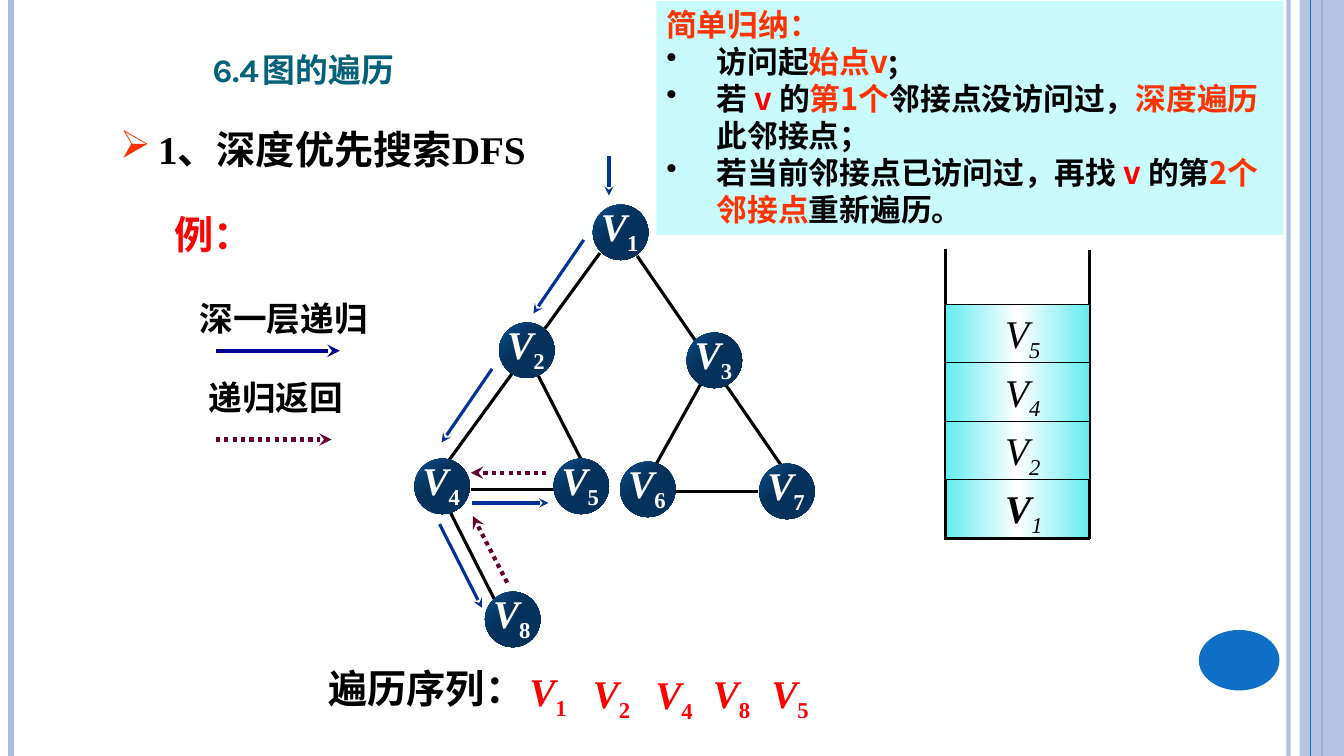
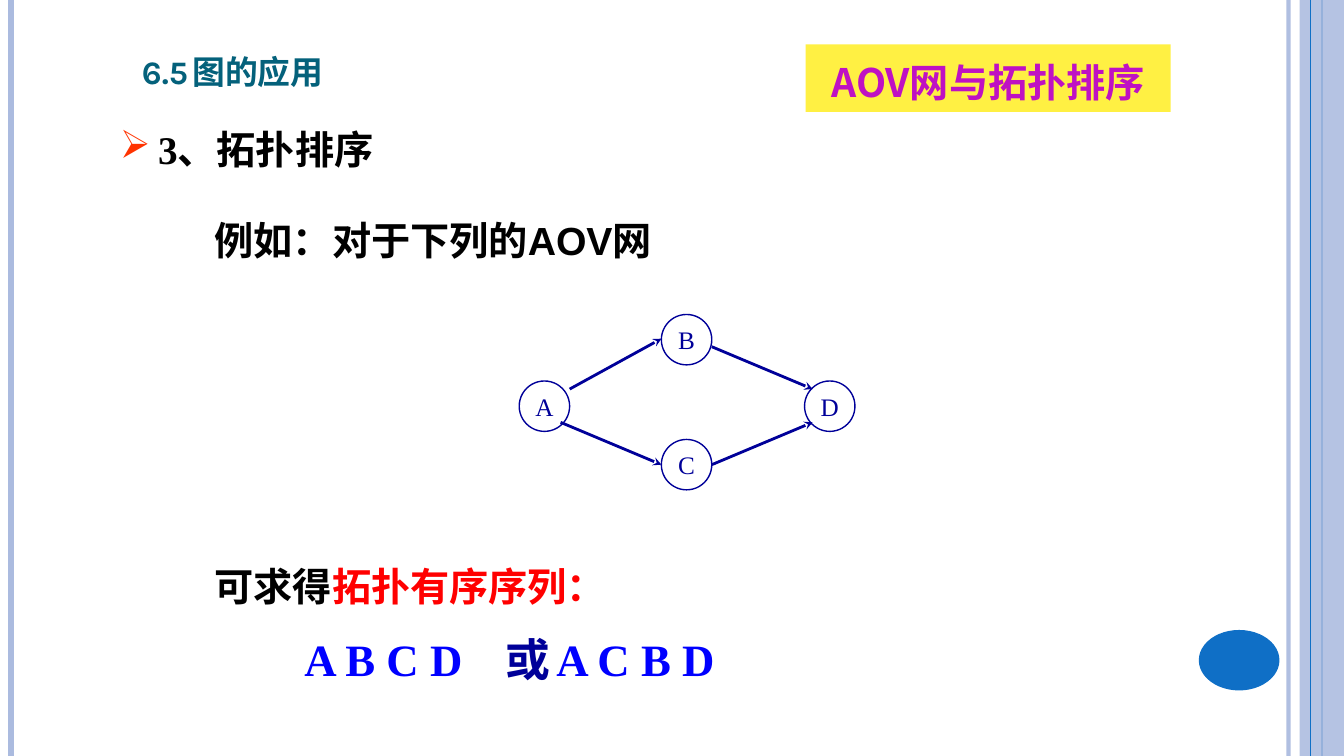
from dataclasses import dataclass
from typing import Optional

from lxml.etree import SubElement
from pptx import Presentation
from pptx.dml.color import RGBColor
from pptx.enum.dml import MSO_LINE
from pptx.enum.shapes import MSO_CONNECTOR, MSO_SHAPE
from pptx.enum.text import MSO_ANCHOR, PP_ALIGN
from pptx.oxml.ns import qn
from pptx.util import Emu, Pt

PX = 9144  # 100 px to the inch
SERIF, SANS, HAN, HEAD = "Times New Roman", "Arial", "Noto Sans CJK SC", "Karla"
INK = {
    "black": "000000", "white": "FFFFFF", "red": "FF0000", "orange": "FF3300",
    "teal": "04617B", "band": "ABBBDF", "blue": "0F6FC6", "navy": "000099",
    "step": "003399", "back": "660033", "pure": "0000FF", "pale": "C9FAFC",
    "yellow": "FFF043", "purple": "BF11C3", "aqua": "63ECEF",
    "shine": "0B4F8E", "deep": "05325C",
}
PAD = (10, 5, 10, 5)
SLIM = (2, 1, 2, 1)


@dataclass
class Run:
    text: str
    ink: str = "black"
    size: float = 28
    font: str = SERIF
    bold: bool = True
    slant: bool = False
    sub: bool = False
    caps: bool = False


@dataclass
class Para:
    runs: list[Run]
    align: PP_ALIGN = PP_ALIGN.LEFT
    left: int = 0
    hang: int = 0
    mark: str = ""
    tint: str = ""
    tabs: tuple[int, ...] = ()
    lead: Optional[float] = None
    above: int = 0


@dataclass
class Line:
    ends: tuple[int, int, int, int]
    ink: str = "black"
    width: float = 2.25
    arrow: bool = False
    dash: bool = False
    alpha: int = 100


def px(num: float) -> Emu:
    return Emu(int(num * PX))


def rgb(ink: str) -> RGBColor:
    return RGBColor.from_string(INK[ink])


def fade(part, alpha: int) -> None:
    if alpha < 100:
        for clr in part.iter(qn("a:srgbClr")):
            SubElement(clr, qn("a:alpha"), val=str(alpha * 1000))


def add_run(para, item: Run) -> None:
    run = para.add_run()
    run.text = item.text
    font = run.font
    font.name, font.size = item.font, Pt(item.size)
    font.bold, font.italic = item.bold, item.slant
    font.color.rgb = rgb(item.ink)
    props = run._r.get_or_add_rPr()
    SubElement(props, qn("a:ea"), typeface=HAN)
    if item.sub:
        props.set("baseline", "-25000")
    if item.caps:
        props.set("cap", "small")


def write(shape, paras: list[Para], pad=PAD, anchor=MSO_ANCHOR.TOP, wrap=True) -> None:
    frame = shape.text_frame
    frame.word_wrap, frame.vertical_anchor = wrap, anchor
    (frame.margin_left, frame.margin_top,
     frame.margin_right, frame.margin_bottom) = map(px, pad)
    for i, item in enumerate(paras):
        para = frame.add_paragraph() if i else frame.paragraphs[0]
        props = para._p.get_or_add_pPr()
        props.set("marL", str(px(item.left)))
        props.set("indent", str(px(-item.hang)))
        if item.tint:
            clr = SubElement(props, qn("a:buClr"))
            SubElement(clr, qn("a:srgbClr"), val=INK[item.tint])
        if item.mark:
            SubElement(props, qn("a:buChar"), char=item.mark)
        else:
            SubElement(props, qn("a:buNone"))
        if item.tabs:
            stops = SubElement(props, qn("a:tabLst"))
            for tab in item.tabs:
                SubElement(stops, qn("a:tab"), pos=str(px(tab)), algn="l")
        para.alignment = item.align
        if item.lead:
            para.line_spacing = item.lead
        if item.above:
            para.space_before = Pt(item.above)
        for run in item.runs:
            add_run(para, run)


def add_text(slide, box: tuple, paras: list[Para], **opts) -> None:
    write(slide.shapes.add_textbox(*map(px, box)), paras, **opts)


def add_form(slide, kind: MSO_SHAPE, box: tuple, fill="", edge="", width=0.75, alpha=100):
    shape = slide.shapes.add_shape(kind, *map(px, box))
    shape.shadow.inherit = False
    if fill:
        shape.fill.solid()
        shape.fill.fore_color.rgb = rgb(fill)
        fade(shape.element.spPr, alpha)
    else:
        shape.fill.background()
    if edge:
        shape.line.color.rgb = rgb(edge)
        shape.line.width = Pt(width)
    else:
        shape.line.fill.background()
    return shape


def blend(shape, stops: list[tuple[int, str]], angle: int) -> None:
    shape.fill.gradient()
    shape.fill.gradient_angle = angle
    ramp = shape.element.spPr.find(".//" + qn("a:gsLst"))
    ramp.clear()
    for pos, ink in stops:
        stop = SubElement(ramp, qn("a:gs"), pos=str(pos * 1000))
        SubElement(stop, qn("a:srgbClr"), val=INK[ink])


def add_line(slide, item: Line) -> None:
    line = slide.shapes.add_connector(MSO_CONNECTOR.STRAIGHT, *map(px, item.ends))
    line.line.color.rgb = rgb(item.ink)
    line.line.width = Pt(item.width)
    if item.dash:
        line.line.dash_style = MSO_LINE.ROUND_DOT
    props = line.element.spPr
    fade(props, item.alpha)
    if item.arrow:
        SubElement(line.line._get_or_add_ln(), qn("a:tailEnd"), type="stealth")
    SubElement(props, qn("a:effectLst"))


def add_lines(slide, ends: list[tuple], **opts) -> None:
    for item in ends:
        add_line(slide, Line(item, **opts))


def add_page(deck, title: str, box: tuple, lead: Optional[float], topic: str):
    """Slide with side bands, section title and topic heading."""
    slide = deck.slides.add_slide(deck.slide_layouts[6])
    add_line(slide, Line((1278, 0, 1278, 750), "band", 3, alpha=93))
    add_line(slide, Line((11, 0, 11, 750), "band", 4.5))
    add_line(slide, Line((1311, 0, 1311, 750), "blue", 1.5))
    add_form(slide, MSO_SHAPE.RECTANGLE, (1289, 0, 44, 750), "band", alpha=87)
    add_line(slide, Line((1300, 0, 1300, 750), "blue", 0.75))
    add_form(slide, MSO_SHAPE.OVAL, (1189, 625, 80, 60), "blue")
    add_text(slide, box, [Para([Run(title, "teal", 29.2, HEAD, caps=True)],
                               tabs=(72,), lead=lead)], anchor=MSO_ANCHOR.BOTTOM)
    add_text(slide, (109, 110, 500, 76), [Para(
        [Run(topic)], left=38, hang=38, mark="➢", tint="orange", lead=1.2)])
    return slide


def vertex(num: int, ink: str, bold=True, flat=True) -> list[Run]:
    return [Run("V", ink, bold=bold, slant=True),
            Run(str(num), ink, bold=bold and flat, slant=not flat, sub=True)]


def add_cell(slide, num: int, top: int) -> None:
    cell = add_form(slide, MSO_SHAPE.RECTANGLE, (938, top, 143, 58), "aqua", "black")
    blend(cell, [(0, "aqua"), (50, "white"), (100, "aqua")], 0)
    runs = vertex(num, "black", bold=False, flat=False)
    runs[0].bold = num == 1
    write(cell, [Para(runs)], pad=(59, 5, 0, 5))


def draw_search(deck) -> None:
    slide = add_page(deck, "6.4\t图的遍历", (201, 35, 488, 61), 0.9, "1、深度优先搜索DFS")

    # Legend
    add_line(slide, Line((214, 348, 337, 348), "navy", 3, True))
    add_line(slide, Line((214, 436, 329, 436), "back", 3, True, True))
    for left, top, label in ((196, 295, "深一层递归"), (205, 373, "递归返回")):
        add_text(slide, (left, top, 175, 54), [Para([Run(label, size=24)])], pad=SLIM)

    # Graph edges and nodes
    add_lines(slide, [(551, 486, 467, 486), (632, 254, 775, 462), (595, 251, 445, 457),
                      (534, 373, 577, 457), (695, 381, 651, 460), (752, 488, 668, 488),
                      (447, 509, 490, 594)])
    spots = [(588, 203), (495, 320), (681, 330), (411, 455),
             (549, 455), (615, 458), (753, 460), (481, 587)]
    for num, (left, top) in enumerate(spots, 1):
        node = add_form(slide, MSO_SHAPE.OVAL, (left, top, 55, 55), "deep")
        blend(node, [(0, "shine"), (40, "deep"), (100, "deep")], 315)
        add_text(slide, (left + 7, top - 5, 51, 65), [Para(vertex(num, "white"))],
                 pad=(1, 3, 0, 1))

    # Steps down and back
    add_lines(slide, [(604, 155, 604, 194), (579, 238, 529, 311), (488, 366, 438, 439),
                      (468, 499, 544, 499), (436, 520, 478, 603)], ink="step", arrow=True)
    add_lines(slide, [(542, 469, 467, 469), (503, 578, 469, 512)],
              ink="back", width=3, arrow=True, dash=True)

    # Stack
    add_cell(slide, 1, 476)
    add_lines(slide, [(938, 247, 938, 533), (1081, 248, 1081, 535), (936, 534, 1081, 534)])
    for i, num in enumerate((2, 4, 5), 1):
        add_cell(slide, num, 476 - 58 * i)

    # Visit order
    add_text(slide, (316, 654, 238, 57), [Para([Run("遍历序列：", font=SANS)])])
    for num, left, top in ((1, 523, 661), (2, 586, 663), (4, 648, 664),
                           (8, 705, 663), (5, 763, 663)):
        add_text(slide, (left, top, 62, 49), [Para(vertex(num, "red"))], pad=SLIM)
    add_text(slide, (163, 207, 95, 50), [Para([Run("例：", "red", font=HAN)])],
             anchor=MSO_ANCHOR.MIDDLE)

    # Summary
    rules = [
        [("简单归纳：", "orange")],
        [("访问起", "black"), ("始点v", "orange"), (";", "black")],
        [("若 ", "black"), ("v ", "red"), ("的", "black"), ("第1个", "orange"),
         ("邻接点没访问过，", "black"), ("深度遍历", "orange"), ("此邻接点；", "black")],
        [("若当前邻接点已访问过，再找 ", "black"), ("v ", "red"), ("的第", "black"),
         ("2个邻接点", "orange"), ("重新遍历。", "black")],
    ]
    note = add_form(slide, MSO_SHAPE.RECTANGLE, (651, 1, 622, 232), "pale")
    write(note, [Para([Run(text, ink, 22, HAN) for text, ink in rule],
                      left=50, hang=50, mark="•" if i else "")
                 for i, rule in enumerate(rules)])


def draw_sort(deck) -> None:
    slide = add_page(deck, "6.5\t图的应用", (131, 36, 340, 61), None, "3、拓扑排序")

    # Banner and lead-in
    sign = add_form(slide, MSO_SHAPE.RECTANGLE, (799, 44, 362, 67), "yellow")
    write(sign, [Para([Run("AOV网与拓扑排序", "purple", font=HAN)],
                      PP_ALIGN.CENTER, lead=1.2)])
    add_text(slide, (203, 210, 756, 57), [Para([Run("例如：对于下列的AOV网", font=SANS)])])

    # Network
    for name, left, top in (("B", 656, 312), ("D", 798, 378),
                            ("A", 515, 378), ("C", 656, 436)):
        node = add_form(slide, MSO_SHAPE.OVAL, (left, top, 50, 50), edge="navy", width=1)
        write(node, [Para([Run(name, "navy", 18, bold=False)], PP_ALIGN.CENTER)],
              anchor=MSO_ANCHOR.MIDDLE, wrap=False)
    add_lines(slide, [(565, 386, 656, 336), (556, 419, 656, 461),
                      (706, 344, 806, 386), (706, 461, 806, 419)],
              ink="navy", width=2, arrow=True)

    # Result
    add_text(slide, (203, 553, 826, 138), [
        Para([Run("可求得"), Run("拓扑有序序列：", "red")]),
        Para([Run("A B C D\t", "pure", 32), Run("或\t", "navy", 32),
              Run("A C B D", "pure", 32)], left=89, tabs=(302, 397), above=16),
    ])


def main() -> None:
    deck = Presentation()
    deck.slide_width, deck.slide_height = px(1333), px(750)
    draw_search(deck)
    draw_sort(deck)
    deck.save("out.pptx")


if __name__ == "__main__":
    main()
